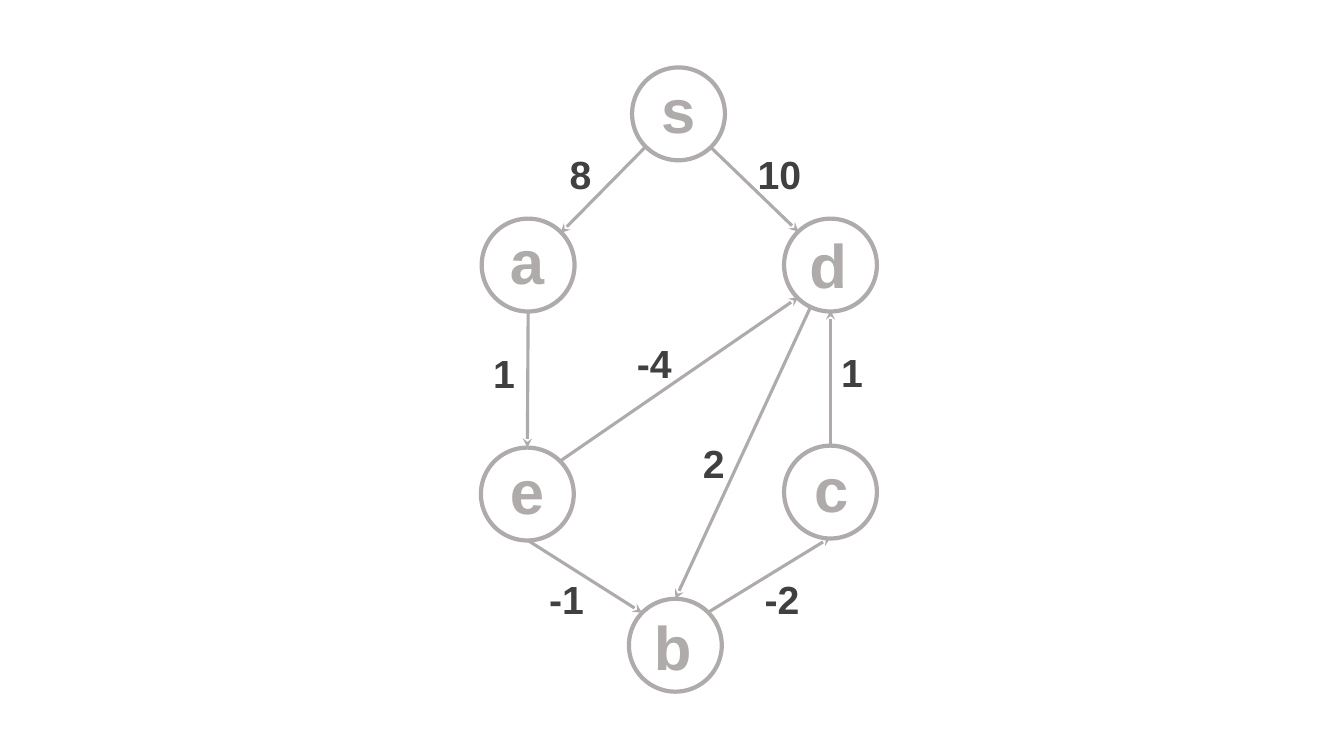
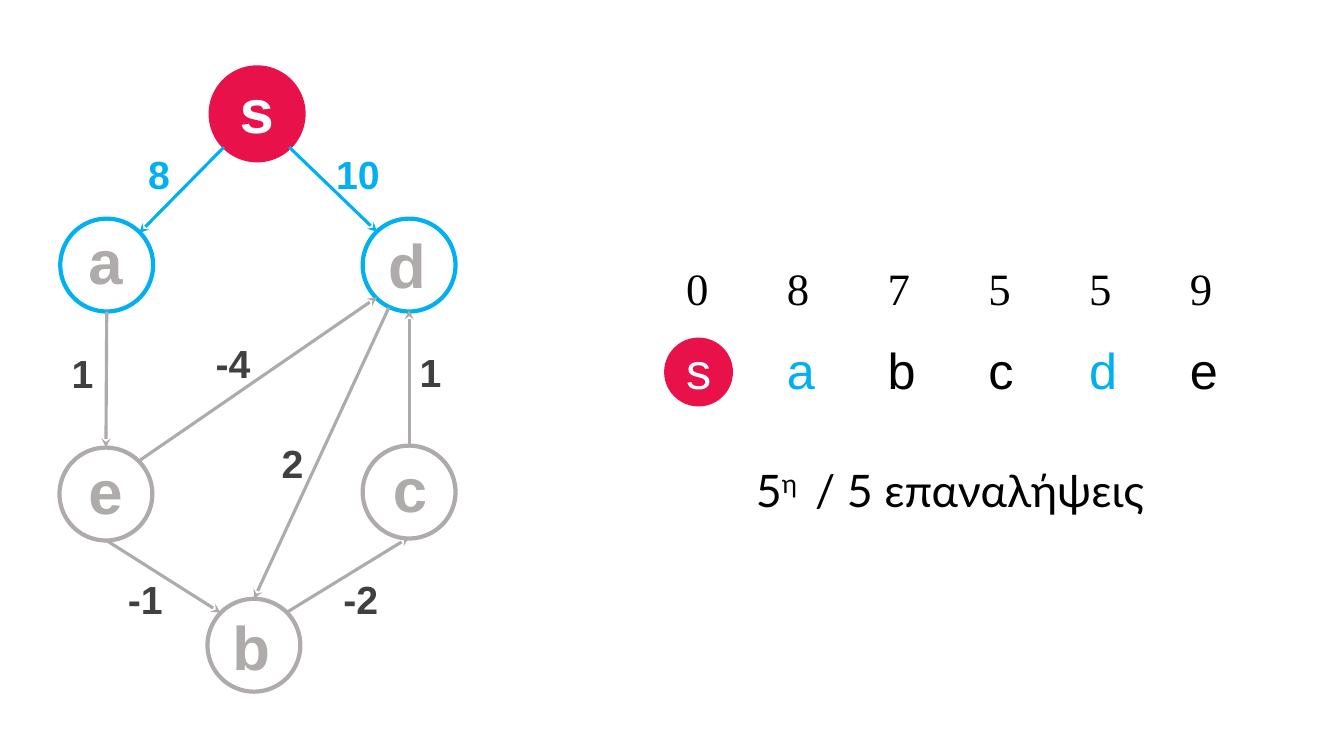
from lxml import etree
from pptx import Presentation
from pptx.dml.color import RGBColor
from pptx.enum.shapes import MSO_CONNECTOR, MSO_SHAPE
from pptx.enum.text import MSO_AUTO_SIZE, PP_ALIGN
from pptx.oxml.ns import qn
from pptx.util import Cm, Pt

STRAIGHT = MSO_CONNECTOR.STRAIGHT
OVAL = MSO_SHAPE.OVAL
GROW = MSO_AUTO_SIZE.SHAPE_TO_FIT_TEXT
LEFT, CENTER = PP_ALIGN.LEFT, PP_ALIGN.CENTER

GRAY = RGBColor(0xAF, 0xAB, 0xAB)
DARK = RGBColor(0x40, 0x40, 0x40)
BLUE = RGBColor(0x00, 0xB0, 0xF0)
RED = RGBColor(0xE9, 0x11, 0x49)
WHITE = RGBColor(0xFF, 0xFF, 0xFF)
BLACK = RGBColor(0x00, 0x00, 0x00)

GRAPH_FONT = "Arial"
DISTANCE_FONT = "Times New Roman"
CAPTION_FONT = "Lato"

# All lengths below are in centimetres.
NODE_SIZE = 2.34
MARKER_SIZE = 1.63
COLUMN_STEP = 2.54
TABLE_LEFT = 17.04
TABLE_WIDTH = 14.27
CENTERED_GRAPH = 10.62  # shift of the graph from the left-hand layout

# Vertex: circle left and top, letter left and top
VERTICES = {
    "s": (5.31, 1.70, 5.79, 1.70),
    "a": (1.52, 5.51, 1.98, 5.49),
    "d": (9.14, 5.51, 9.53, 5.59),
    "e": (1.50, 11.28, 1.98, 11.28),
    "b": (5.23, 15.09, 5.61, 15.21),
    "c": (9.14, 11.23, 9.65, 11.23),
}

# Edge: weight, start, end, left and top of the weight
EDGES = {
    "sa": ("8", (5.64, 3.71), (3.51, 5.87), (3.12, 3.66)),
    "sd": ("10", (7.29, 3.71), (9.50, 5.84), (8.13, 3.66)),
    "ae": ("1", (2.69, 7.85), (2.67, 11.28), (1.19, 8.69)),
    "ed": ("-4", (3.48, 11.63), (9.50, 7.49), (4.98, 8.43)),
    "db": ("2", (9.80, 7.75), (6.40, 15.09), (6.48, 10.95)),
    "eb": ("-1", (2.67, 13.61), (5.56, 15.44), (2.77, 14.38)),
    "bc": ("-2", (7.21, 15.44), (10.31, 13.54), (8.20, 14.38)),
    "cd": ("1", (10.31, 11.23), (10.31, 7.82), (9.96, 8.66)),
}

DISTANCES = {"s": "0", "a": "8", "b": "7", "c": "5", "d": "5", "e": "9"}


def add_text(slide, box, runs, size, font, bold=False, align=LEFT, wrap=True):
    """Add a one-paragraph text box; runs are (text, colour) pairs."""
    frame = slide.shapes.add_textbox(*map(Cm, box)).text_frame
    frame.word_wrap = wrap
    frame.auto_size = GROW
    paragraph = frame.paragraphs[0]
    paragraph.alignment = align
    for text, color in runs:
        run = paragraph.add_run()
        run.text = text
        run.font.size = Pt(size)
        run.font.name = font
        run.font.bold = bold
        run.font.color.rgb = color
    return paragraph


def add_circle(slide, left, top, size, outline, fill=None):
    circle = slide.shapes.add_shape(OVAL, Cm(left), Cm(top), Cm(size), Cm(size))
    circle.shadow.inherit = False
    circle.line.color.rgb = outline
    circle.line.width = Pt(3)
    if fill is None:
        circle.fill.background()
    else:
        circle.fill.solid()
        circle.fill.fore_color.rgb = fill


def add_arrow(slide, start, end, color):
    arrow = slide.shapes.add_connector(STRAIGHT, *map(Cm, start + end))
    arrow.line.color.rgb = color
    arrow.line.width = Pt(2.25)
    etree.SubElement(arrow.line._get_or_add_ln(), qn("a:tailEnd"), type="stealth")
    etree.SubElement(arrow._element.spPr, qn("a:effectLst"))


def add_graph(slide, shift=0, source=None, reached=(), relaxed=()):
    """Draw the weighted graph with its source and relaxed edges highlighted."""
    for vertex, (left, top, letter_left, letter_top) in VERTICES.items():
        outline, fill, letter_color = GRAY, None, GRAY
        if vertex == source:
            outline, fill, letter_color = RED, RED, WHITE
        elif vertex in reached:
            outline = BLUE
        add_circle(slide, left + shift, top, NODE_SIZE, outline, fill)
        add_text(slide, (letter_left + shift, letter_top, 1.27, 2.11),
                 [(vertex, letter_color)], 44, GRAPH_FONT, bold=True)

    for edge, (weight, start, end, (left, top)) in EDGES.items():
        highlighted = edge in relaxed
        add_arrow(slide, (start[0] + shift, start[1]), (end[0] + shift, end[1]),
                  BLUE if highlighted else GRAY)
        add_text(slide, (left + shift, top, 1.78, 1.45),
                 [(weight, BLUE if highlighted else DARK)],
                 28, GRAPH_FONT, bold=True, align=CENTER)


def add_row(slide, top, height, cells, size, font):
    """Add a row of (text, colour) cells set on equally spaced tab stops."""
    runs = [("\t" * (column > 0) + text, color)
            for column, (text, color) in enumerate(cells)]
    row = add_text(slide, (TABLE_LEFT, top, TABLE_WIDTH, height), runs, size, font)
    stops = etree.SubElement(row._p.get_or_add_pPr(), qn("a:tabLst"))
    for column in range(1, len(cells)):
        etree.SubElement(stops, qn("a:tab"), pos=str(Cm(COLUMN_STEP * column)), algn="l")


def add_distances(slide, source, reached):
    add_row(slide, 6.45, 1.6, [(value, BLACK) for value in DISTANCES.values()],
            32, DISTANCE_FONT)
    add_circle(slide, 16.79, 8.56, MARKER_SIZE, RED, RED)
    colors = {source: WHITE, **dict.fromkeys(reached, BLUE)}
    add_row(slide, 8.41, 1.78,
            [(vertex, colors.get(vertex, BLACK)) for vertex in DISTANCES],
            36, GRAPH_FONT)


def add_iteration_caption(slide):
    caption = add_text(slide, (18.8, 11.53, 10.41, 1.6),
                       [("5", BLACK), ("η ", BLACK), (" / 5 επαναλήψεις", BLACK)],
                       32, CAPTION_FONT, wrap=False)
    ordinal = caption.runs[1]
    ordinal._r.get_or_add_rPr().set("baseline", "30000")


def main():
    deck = Presentation()
    deck.slide_width, deck.slide_height = Cm(33.87), Cm(19.05)
    blank = deck.slide_layouts[6]

    # The graph alone
    add_graph(deck.slides.add_slide(blank), shift=CENTERED_GRAPH)

    # The last iteration with its distances
    iteration = deck.slides.add_slide(blank)
    add_graph(iteration, source="s", reached="ad", relaxed=("sa", "sd"))
    add_distances(iteration, source="s", reached="ad")
    add_iteration_caption(iteration)

    deck.save("out.pptx")


if __name__ == "__main__":
    main()
